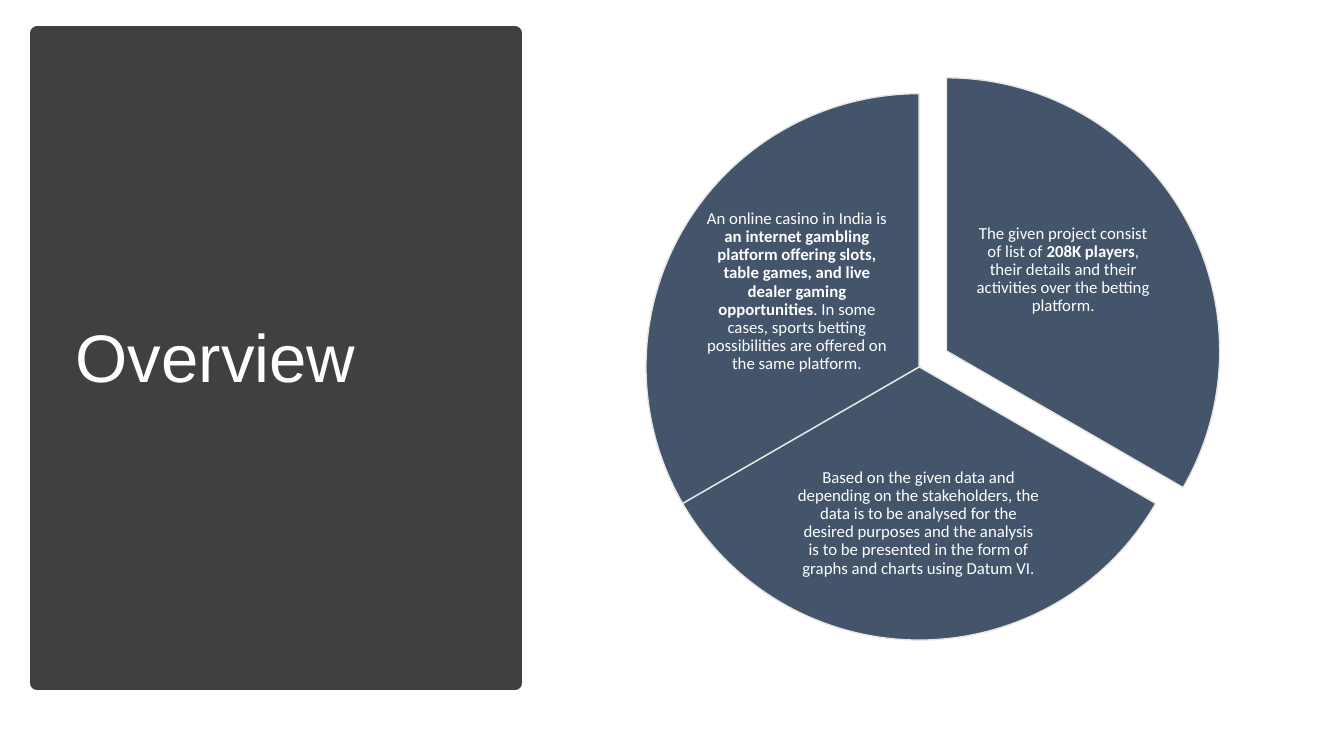
from pptx import Presentation
from pptx.dml.color import RGBColor
from pptx.enum.shapes import MSO_SHAPE
from pptx.enum.text import MSO_ANCHOR, MSO_AUTO_SIZE, PP_ALIGN
from pptx.util import Cm, Pt

RECT, PIE = MSO_SHAPE.RECTANGLE, MSO_SHAPE.PIE
MIDDLE, LEFT, CENTER = MSO_ANCHOR.MIDDLE, PP_ALIGN.LEFT, PP_ALIGN.CENTER
NO_FIT = MSO_AUTO_SIZE.NONE
TITLE_ONLY = 5

COLORS = {"panel": "404040", "slice": "44546A", "edge": "E7E6E6", "text": "FFFFFF"}
SIZE = 13.77  # diameter of the pie
HOME, PULLED = (16.28, 2.36), (16.97, 1.96)

# Slice corner, start and end angle, text box, runs (text, bold)
SLICES = [
    (PULLED, 270, 30, (24.46, 4.5, 4.67, 4.6), [
        ("The given project consist of list of ", False),
        ("208K players", True),
        (", their details and their activities over the betting platform.", False)]),
    (HOME, 30, 150, (20.04, 11.05, 6.22, 4.27), [
        ("Based on the given data and depending on the stakeholders, the data "
         "is to be analysed for the desired purposes and the analysis is to be "
         "presented in the form of graphs and charts using Datum VI.", False)]),
    (HOME, 150, 270, (17.75, 5.05, 4.67, 4.6), [
        ("An online casino in India is ", False),
        ("an internet gambling platform offering slots, table games, and live "
         "dealer gaming opportunities", True),
        (". In some cases, sports betting possibilities are offered on the same "
         "platform.", False)]),
]


def color(name):
    return RGBColor.from_string(COLORS[name])


def add_block(slide, kind, box, fill, edge, width):
    block = slide.shapes.add_shape(kind, *map(Cm, box))
    block.shadow.inherit = False
    block.fill.solid()
    block.fill.fore_color.rgb = color(fill)
    block.line.color.rgb = color(edge)
    block.line.width = Pt(width)
    return block


def style(para, face, size, align):
    para.alignment = align
    para.line_spacing = 0.9
    para.font.name = face
    para.font.size = Pt(size)
    para.font.color.rgb = color("text")


def set_title(slide, text, box):
    title = slide.shapes.title
    title.left, title.top, title.width, title.height = map(Cm, box)
    frame = title.text_frame
    frame.text = text
    frame.auto_size = NO_FIT
    frame.vertical_anchor = MIDDLE
    style(frame.paragraphs[0], "Arial", 48, LEFT)


def add_slice(slide, corner, start, end):
    part = add_block(slide, PIE, (*corner, SIZE, SIZE), "slice", "edge", 1)
    # One adjustment unit is 100000 sixty-thousandths of a degree
    part.adjustments[0] = start * 0.6
    part.adjustments[1] = end * 0.6


def add_label(slide, box, runs):
    frame = slide.shapes.add_textbox(*map(Cm, box)).text_frame
    frame.word_wrap = True
    frame.vertical_anchor = MIDDLE
    frame.margin_left = frame.margin_right = Cm(0.05)
    frame.margin_top = frame.margin_bottom = Cm(0.05)
    para = frame.paragraphs[0]
    style(para, "Calibri", 12, CENTER)
    para.space_after = Pt(4.2)
    for text, bold in runs:
        run = para.add_run()
        run.text = text
        run.font.bold = bold


def main():
    deck = Presentation()
    deck.slide_width, deck.slide_height = Cm(33.87), Cm(19.05)
    slide = deck.slides.add_slide(deck.slide_layouts[TITLE_ONLY])

    # Dark panel, sent behind the title
    panel = add_block(slide, RECT, (0.94, 0.84, 12.04, 16.38), "panel", "panel", 10)
    slide.shapes.title._element.addprevious(panel._element)
    set_title(slide, "Overview", (1.65, 1.78, 10.57, 14.6))

    # Pie with one slice pulled out
    for corner, start, end, box, runs in SLICES:
        add_slice(slide, corner, start, end)
        add_label(slide, box, runs)

    deck.save("out.pptx")


if __name__ == "__main__":
    main()
